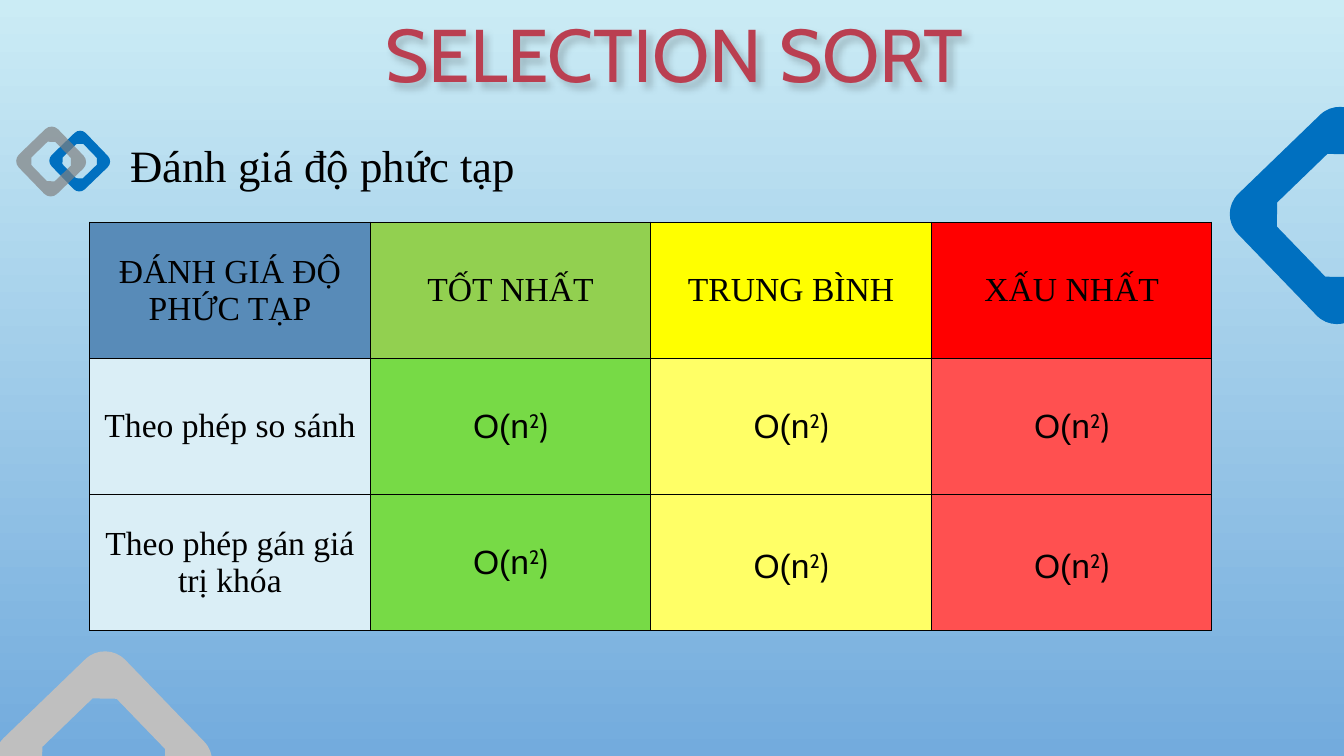
from pptx import Presentation
from pptx.dml.color import RGBColor
from pptx.enum.text import MSO_ANCHOR, MSO_AUTO_SIZE, PP_ALIGN
from pptx.oxml import parse_xml
from pptx.oxml.ns import nsdecls
from pptx.util import Cm, Pt

BLACK = RGBColor(0x00, 0x00, 0x00)
SKY_TOP = RGBColor(0xCB, 0xEC, 0xF5)
SKY_BOTTOM = RGBColor(0x73, 0xAB, 0xDD)
RING_BLUE = RGBColor(0x00, 0x70, 0xC0)
RING_SILVER = RGBColor(0xBF, 0xBF, 0xBF)
RING_GREY = RGBColor(0x80, 0x80, 0x80)
HEADER_FILLS = [RGBColor(0x58, 0x8B, 0xB8), RGBColor(0x92, 0xD0, 0x50),
                RGBColor(0xFF, 0xFF, 0x00), RGBColor(0xFF, 0x00, 0x00)]
BODY_FILLS = [RGBColor(0xDA, 0xEE, 0xF6), RGBColor(0x77, 0xDA, 0x46),
              RGBColor(0xFF, 0xFF, 0x66), RGBColor(0xFF, 0x50, 0x50)]
TITLE_STOPS = [(0, RGBColor(0x5D, 0x20, 0x28)), (50, RGBColor(0xBA, 0x3F, 0x51)),
               (100, RGBColor(0xD7, 0x8A, 0x95))]

HEADERS = ["ĐÁNH GIÁ ĐỘ PHỨC TẠP", "TỐT NHẤT", "TRUNG BÌNH", "XẤU NHẤT"]
CRITERIA = ["Theo phép so sánh", "Theo phép gán giá trị khóa"]
QUADRATIC = [("O(n", "Arial", 0), ("2", "Cabin", 30000), (")", "Cabin", 0)]


def cut_square(side, radius):
    """Eight corner-cut points of a square centred on the origin."""
    h = side / 2
    i = h - radius
    return [(h, i), (i, h), (-i, h), (-h, i), (-h, -i), (-i, -h), (i, -h), (h, -i)]


def round_corners(ring):
    """Turn every cut corner of the ring's two contours into a curve."""
    lines = ring._element.findall(".//{*}lnTo")
    for contour in (lines[:7], lines[7:]):
        for index, line in list(enumerate(contour))[::2]:
            start, end = line.getprevious()[-1], line[0]
            x0, y0, x1, y1 = (int(pt.get(axis)) for pt in (start, end) for axis in "xy")
            corner_x, corner_y = (x0, y1) if index % 4 == 0 else (x1, y0)
            controls = "".join(
                f'<a:pt x="{round(x + 0.55 * (corner_x - x))}" '
                f'y="{round(y + 0.55 * (corner_y - y))}"/>'
                for x, y in ((x0, y0), (x1, y1)))
            line.getparent().replace(line, parse_xml(
                f'<a:cubicBezTo {nsdecls("a")}>{controls}'
                f'<a:pt x="{x1}" y="{y1}"/></a:cubicBezTo>'))


class SlideWriter:
    serif, display = "Times New Roman", "Cabin"

    def __init__(self, slide):
        self.slide = slide

    def style(self, paragraph, size, name=None, align=None):
        paragraph.alignment = align
        paragraph.font.size = Pt(size)
        paragraph.font.color.rgb = BLACK
        if name:
            paragraph.font.name = name

    def background(self, top, bottom):
        fill = self.slide.background.fill
        fill.gradient()
        fill.gradient_angle = 270
        for stop, color in zip(fill.gradient_stops, (top, bottom)):
            stop.color.rgb = color

    def ring(self, x, y, side, color, alpha=None):
        """Tilted square ring centred at (x, y), in centimetres."""
        def place(points):
            return [(Cm(x + dx), Cm(y + dy)) for dx, dy in points]

        outer = place(cut_square(side, side * 0.166))
        hole = place(cut_square(side * 0.61, side * 0.1))[::-1]
        # Both contours begin with a corner that leaves vertically
        hole = hole[-1:] + hole[:-1] if hole[0][1] > hole[1][1] else hole
        builder = self.slide.shapes.build_freeform(*outer[0])
        builder.add_line_segments(outer[1:])
        builder.move_to(*hole[0])
        builder.add_line_segments(hole[1:])
        ring = builder.convert_to_shape()
        round_corners(ring)
        ring.rotation = 316
        ring.shadow.inherit = False
        ring.fill.solid()
        ring.fill.fore_color.rgb = color
        ring.line.fill.background()
        if alpha:
            rgb = ring._element.spPr.find(".//{*}srgbClr")
            rgb.append(parse_xml(f'<a:alpha {nsdecls("a")} val="{alpha * 1000}"/>'))
        return ring

    def title(self, text):
        title = self.slide.shapes.title
        title.left, title.top, title.width, title.height = Cm(0), Cm(0), Cm(34), Cm(2.67)
        frame = title.text_frame
        frame.text = text
        frame.auto_size = MSO_AUTO_SIZE.NONE
        frame.vertical_anchor = MSO_ANCHOR.MIDDLE
        paragraph = frame.paragraphs[0]
        paragraph.alignment = PP_ALIGN.CENTER
        paragraph.font.size = Pt(53.3)
        paragraph.font.name = self.display
        stops = "".join(f'<a:gs pos="{pos * 1000}"><a:srgbClr val="{color}"/></a:gs>'
                        for pos, color in TITLE_STOPS)
        paragraph.runs[0]._r.get_or_add_rPr().append(parse_xml(
            f'<a:gradFill {nsdecls("a")}><a:gsLst>{stops}</a:gsLst>'
            '<a:lin ang="5400000" scaled="0"/></a:gradFill>'))
        title._element.spPr.append(parse_xml(
            f'<a:effectLst {nsdecls("a")}><a:outerShdw blurRad="60000" dist="50000" '
            'dir="2700000"><a:srgbClr val="000000"><a:alpha val="20000"/></a:srgbClr>'
            '</a:outerShdw></a:effectLst>'))

    def heading(self, text, left, top, width, height):
        frame = self.slide.shapes.add_textbox(left, top, width, height).text_frame
        frame.word_wrap = True
        frame.text = text
        self.style(frame.paragraphs[0], 32, self.serif)

    def cell(self, cell, content, fill):
        cell.fill.solid()
        cell.fill.fore_color.rgb = fill
        cell.vertical_anchor = MSO_ANCHOR.MIDDLE
        cell.margin_left = cell.margin_right = Cm(0.33)
        cell.margin_top = cell.margin_bottom = Cm(0.18)
        paragraph = cell.text_frame.paragraphs[0]
        if isinstance(content, str):
            paragraph.text = content
            self.style(paragraph, 24, self.serif, PP_ALIGN.CENTER)
        else:
            self.style(paragraph, 24, align=PP_ALIGN.CENTER)
            for text, font, baseline in content:
                run = paragraph.add_run()
                run.text = text
                run.font.name = font
                if baseline:
                    run._r.get_or_add_rPr().set("baseline", str(baseline))
        for index, side in enumerate("LRTB"):
            cell._tc.get_or_add_tcPr().insert(index, parse_xml(
                f'<a:ln{side} {nsdecls("a")} w="12700"><a:solidFill>'
                f'<a:srgbClr val="{BLACK}"/></a:solidFill></a:ln{side}>'))

    def table(self, rows, left, top, column_width, row_height):
        columns = len(rows[0])
        table = self.slide.shapes.add_table(
            len(rows), columns, left, top,
            column_width * columns, row_height * len(rows)).table
        for column in table.columns:
            column.width = column_width
        for r, row in enumerate(rows):
            table.rows[r].height = row_height
            fills = BODY_FILLS if r else HEADER_FILLS
            for c, content in enumerate(row):
                self.cell(table.cell(r, c), content, fills[c])
        return table


def main():
    deck = Presentation()
    deck.slide_width, deck.slide_height = Cm(33.87), Cm(19.05)
    writer = SlideWriter(deck.slides.add_slide(deck.slide_layouts[5]))

    # Background and corner rings
    writer.background(SKY_TOP, SKY_BOTTOM)
    writer.ring(2.61, 19.15, 4.29, RING_SILVER)
    writer.ring(33.73, 5.43, 4.29, RING_BLUE)

    # Linked rings marking the heading
    linked_rings = [writer.ring(2.01, 4.06, 1.2, RING_BLUE),
                    writer.ring(1.29, 4.07, 1.38, RING_GREY, alpha=69)]
    writer.slide.shapes.add_group_shape(linked_rings)

    # Title and heading
    writer.title("SELECTION SORT")
    writer.heading("Đánh giá độ phức tạp", Cm(3.03), Cm(3.35), Cm(11.79), Cm(1.63))

    # Complexity table
    rows = [HEADERS] + [[criterion] + [QUADRATIC] * 3 for criterion in CRITERIA]
    complexity = writer.table(rows, Cm(2.26), Cm(5.6), Cm(7.07), Cm(3.43))
    for column in (2, 3):
        assignment = complexity.cell(2, column)
        assignment.vertical_anchor = MSO_ANCHOR.BOTTOM
        assignment.margin_bottom = Cm(1.1)

    deck.save("out.pptx")


if __name__ == "__main__":
    main()
